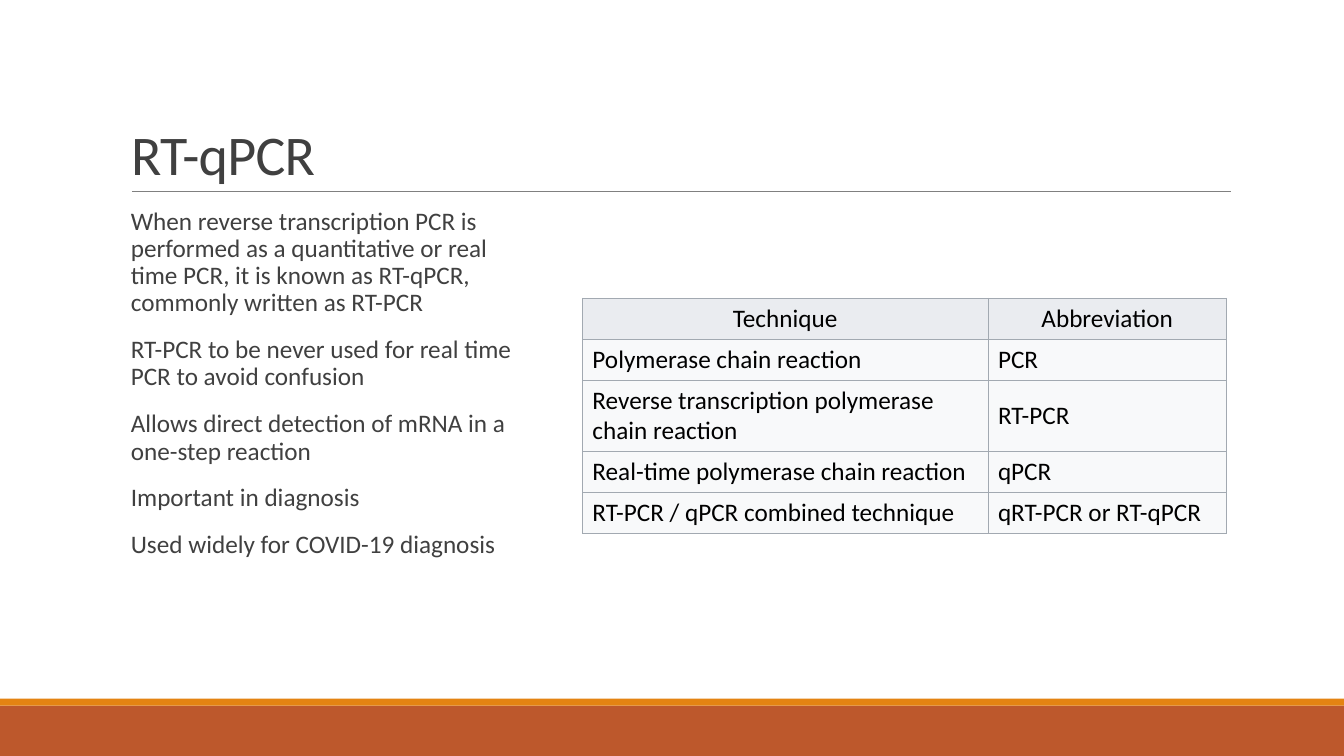
from lxml import etree
from pptx import Presentation
from pptx import util as u
from pptx.dml.color import RGBColor
from pptx.enum import shapes, text
from pptx.oxml import ns

WHITE = RGBColor(0xFF, 0xFF, 0xFF)
BLACK = RGBColor(0x00, 0x00, 0x00)
CHARCOAL = RGBColor(0x40, 0x40, 0x40)
RULE_GRAY = RGBColor(0x80, 0x80, 0x80)
RUST = RGBColor(0xBD, 0x58, 0x2C)
ORANGE = RGBColor(0xE4, 0x83, 0x12)
HEADER_FILL = RGBColor(0xEA, 0xEC, 0xF0)
BODY_FILL = RGBColor(0xF8, 0xF9, 0xFA)
BORDER = RGBColor(0xA2, 0xA9, 0xB1)

POINTS = [
    "When reverse transcription PCR is performed as a quantitative or real time PCR, "
    "it is known as RT-qPCR, commonly written as RT-PCR",
    "RT-PCR to be never used for real time PCR to avoid confusion",
    "Allows direct detection of mRNA in a one-step reaction",
    "Important in diagnosis",
    "Used widely for COVID-19 diagnosis",
]
TECHNIQUES = [
    ("Technique", "Abbreviation"),
    ("Polymerase chain reaction", "PCR"),
    ("Reverse transcription polymerase chain reaction", "RT-PCR"),
    ("Real-time polymerase chain reaction", "qPCR"),
    ("RT-PCR / qPCR combined technique", "qRT-PCR or RT-qPCR"),
]


class SlideBuilder:
    font = "Calibri"
    body_size = 18
    title_size = 40

    def __init__(self, slide):
        self.slide = slide

    def place(self, shape, left, top, width, height):
        shape.left, shape.top = u.Pt(left), u.Pt(top)
        shape.width, shape.height = u.Pt(width), u.Pt(height)

    def format_runs(self, paragraph, size, color):
        for run in paragraph.runs:
            run.font.name = self.font
            run.font.size = u.Pt(size)
            run.font.color.rgb = color

    def band(self, left, top, width, height, color):
        shape = self.slide.shapes.add_shape(
            shapes.MSO_SHAPE.RECTANGLE, u.Pt(left), u.Pt(top), u.Pt(width), u.Pt(height))
        shape.shadow.inherit = False
        shape.fill.solid()
        shape.fill.fore_color.rgb = color
        shape.line.fill.background()

    def rule(self, left, right, y):
        line = self.slide.shapes.add_connector(
            shapes.MSO_CONNECTOR.STRAIGHT, u.Pt(left), u.Pt(y), u.Pt(right), u.Pt(y))
        line.line.color.rgb = RULE_GRAY
        line.line.width = u.Pt(0.5)
        etree.SubElement(line._element.spPr, ns.qn("a:effectLst"))

    def title(self, content, left, top, width, height):
        shape = self.slide.shapes.title
        self.place(shape, left, top, width, height)
        frame = shape.text_frame
        frame.text = content
        frame.auto_size = text.MSO_AUTO_SIZE.NONE
        frame.vertical_anchor = text.MSO_ANCHOR.BOTTOM
        paragraph = frame.paragraphs[0]
        paragraph.alignment = text.PP_ALIGN.LEFT
        paragraph.line_spacing = 0.85
        self.format_runs(paragraph, self.title_size, CHARCOAL)
        for run in paragraph.runs:
            run.font._element.set("spc", "-50")

    def body(self, points, left, top, width, height):
        shape = self.slide.shapes.add_textbox(
            u.Pt(left), u.Pt(top), u.Pt(width), u.Pt(height))
        frame = shape.text_frame
        frame.word_wrap = True
        frame.margin_left, frame.margin_right = u.Pt(7.2), 0
        frame.text = "\n".join(points)
        for paragraph in frame.paragraphs:
            paragraph.line_spacing = 0.9
            paragraph.space_before = u.Pt(12)
            paragraph.space_after = u.Pt(2)
            self.format_runs(paragraph, self.body_size, CHARCOAL)

    def cell_border(self, cell):
        properties = cell._tc.get_or_add_tcPr()
        for index, side in enumerate(("lnL", "lnR", "lnT", "lnB")):
            line = etree.Element(ns.qn(f"a:{side}"), w=str(u.Pt(0.5)))
            fill = etree.SubElement(line, ns.qn("a:solidFill"))
            etree.SubElement(fill, ns.qn("a:srgbClr"), val=str(BORDER))
            properties.insert(index, line)

    def table(self, rows, left, top, column_widths, row_heights):
        frame = self.slide.shapes.add_table(
            len(rows), len(column_widths), u.Pt(left), u.Pt(top),
            u.Pt(sum(column_widths)), u.Pt(sum(row_heights)))
        table = frame.table
        for column, width in zip(table.columns, column_widths):
            column.width = u.Pt(width)
        for row, height in zip(table.rows, row_heights):
            row.height = u.Pt(height)
        for row_index, values in enumerate(rows):
            header = row_index == 0
            for column_index, value in enumerate(values):
                cell = table.cell(row_index, column_index)
                cell.text_frame.text = value
                cell.vertical_anchor = text.MSO_ANCHOR.MIDDLE
                cell.fill.solid()
                cell.fill.fore_color.rgb = HEADER_FILL if header else BODY_FILL
                paragraph = cell.text_frame.paragraphs[0]
                paragraph.alignment = text.PP_ALIGN.CENTER if header else text.PP_ALIGN.LEFT
                self.format_runs(paragraph, self.body_size, BLACK)
                for run in paragraph.runs:
                    run.font.bold = False
                self.cell_border(cell)


def main():
    presentation = Presentation()
    presentation.slide_width = u.Pt(960)
    presentation.slide_height = u.Pt(540)
    slide = presentation.slides.add_slide(presentation.slide_layouts[5])
    slide.background.fill.solid()
    slide.background.fill.fore_color.rgb = WHITE

    builder = SlideBuilder(slide)
    builder.band(0, 504, 960, 36, RUST)
    builder.band(0, 499, 960, 5, ORANGE)
    builder.rule(94.3, 879, 136.8)
    builder.title("RT-qPCR", 86.4, 22.5, 792, 114.3)
    builder.body(POINTS, 86.4, 145.4, 285.8, 316.8)
    builder.table(TECHNIQUES, 416, 213, (289.7, 170.4), (29.2, 29.2, 51.2, 29.2, 29.2))
    presentation.save("out.pptx")


if __name__ == "__main__":
    main()
